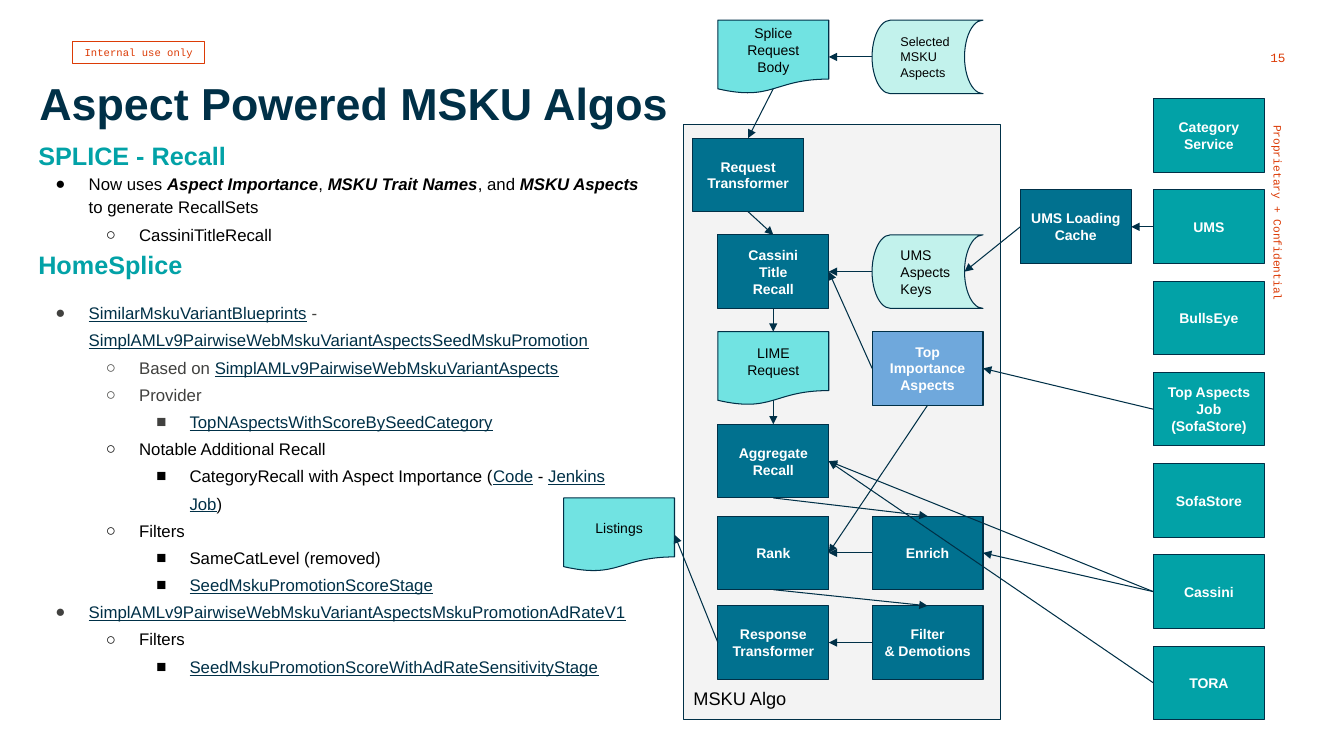
from lxml.etree import SubElement
from pptx import Presentation
from pptx.dml.color import RGBColor
from pptx.enum.shapes import MSO_CONNECTOR, MSO_SHAPE
from pptx.enum.text import MSO_ANCHOR, MSO_AUTO_SIZE, PP_ALIGN
from pptx.oxml.ns import qn
from pptx.util import Inches, Pt

COLORS = {
    "navy": "003047", "blue": "01718F", "teal": "02A2A7", "aqua": "71E3E2",
    "mint": "C2F2EC", "sky": "6FA8DC", "panel": "F3F3F3", "grey": "41413F",
    "red": "DC3B06", "black": "000000", "white": "FFFFFF",
}


def format_text(shape, size, color, font="Arial", bold=False,
                align=PP_ALIGN.LEFT, anchor=MSO_ANCHOR.MIDDLE, insets=(0, 0, 0, 0)):
    frame = shape.text_frame
    frame.word_wrap = True
    frame.auto_size = MSO_AUTO_SIZE.NONE
    frame.vertical_anchor = anchor
    (frame.margin_left, frame.margin_top,
     frame.margin_right, frame.margin_bottom) = map(Inches, insets)
    for paragraph in frame.paragraphs:
        paragraph.alignment = align
        for run in paragraph.runs:
            run.font.name, run.font.size, run.font.bold = font, Pt(size), bold
            run.font.color.rgb = RGBColor.from_string(COLORS[color])


def add_box(kind, left, top, width, height, text, fill=None, line="navy"):
    shape = slide.shapes.add_shape(kind, *map(Inches, (left, top, width, height)))
    shape.shadow.inherit = False
    if fill:
        shape.fill.solid()
        shape.fill.fore_color.rgb = RGBColor.from_string(COLORS[fill])
    else:
        shape.fill.background()
    shape.line.color.rgb = RGBColor.from_string(COLORS[line])
    shape.line.width = Pt(0.75)
    shape.text_frame.text = text
    return shape


presentation = Presentation()
presentation.slide_width, presentation.slide_height = Inches(13.33), Inches(7.5)
slide = presentation.slides.add_slide(presentation.slide_layouts[1])

# Confidentiality marks and page number
side_note = slide.shapes.add_textbox(*map(Inches, (11.27, 2.58, 2.81, 0.13)))
side_note.rotation = 90
side_note.text_frame.text = "Proprietary + Confidential"
format_text(side_note, 8, "red", "Courier New", anchor=MSO_ANCHOR.BOTTOM)

usage_tag = add_box(MSO_SHAPE.RECTANGLE, 0.72, 0.41, 1.31, 0.22,
                    "Internal use only", line="red")
format_text(usage_tag, 7.5, "red", "Courier New", align=PP_ALIGN.CENTER)

page_number = slide.shapes.add_textbox(*map(Inches, (12.6, 0.44, 0.62, 0.21)))
page_number.text_frame.text = "15"
format_text(page_number, 9, "red", "Courier New", anchor=MSO_ANCHOR.BOTTOM,
            insets=(0, 0.05, 0.04, 0))

# Title
title = slide.shapes.title
title.left, title.top, title.width, title.height = map(Inches, (0.39, 0.27, 6.57, 1.49))
title.text_frame.text = "Aspect Powered MSKU Algos"
format_text(title, 32, "navy", bold=True)

# Body outline: level (None is a heading), bullet colour, runs of (text, style)
outline = [
    (None, None, [("SPLICE - Recall", "heading")]),
    (0, "black", [("Now uses ", "black"), ("Aspect Importance", "strong"), (", ", "black"),
                  ("MSKU Trait Names", "strong"), (", and ", "black"),
                  ("MSKU Aspects", "strong"), (" to generate RecallSets", "black")]),
    (1, "black", [("CassiniTitleRecall", "black")]),
    (None, None, [("HomeSplice", "heading")]),
    (0, "grey", [("SimilarMskuVariantBlueprints", "link"), (" - ", "grey"),
                 ("SimplAMLv9PairwiseWebMskuVariantAspectsSeedMskuPromotion", "link")]),
    (1, "grey", [("Based on ", "grey"), ("SimplAMLv9PairwiseWebMskuVariantAspects", "link")]),
    (1, "grey", [("Provider", "grey")]),
    (2, "grey", [("TopNAspectsWithScoreBySeedCategory", "link")]),
    (1, "black", [("Notable Additional Recall", "black")]),
    (2, "black", [("CategoryRecall with Aspect Importance (", "black"), ("Code", "link"),
                  (" - ", "black"), ("Jenkins Job", "link"), (")", "black")]),
    (1, "black", [("Filters", "black")]),
    (2, "black", [("SameCatLevel (removed)", "black")]),
    (2, "black", [("SeedMskuPromotionScoreStage", "link")]),
    (0, "grey", [("SimplAMLv9PairwiseWebMskuVariantAspectsMskuPromotionAdRateV1", "link")]),
    (1, "black", [("Filters", "black")]),
    (2, "black", [("SeedMskuPromotionScoreWithAdRateSensitivityStage", "link")]),
]
style_colors = {"heading": "teal", "strong": "black", "link": "navy"}
body = slide.placeholders[1]
body.left, body.top, body.width, body.height = map(Inches, (0.38, 1.35, 5.98, 5.7))
format_text(body, 12, "black", anchor=MSO_ANCHOR.TOP)
for index, (level, bullet_color, runs) in enumerate(outline):
    paragraph = body.text_frame.paragraphs[0] if index == 0 else body.text_frame.add_paragraph()
    properties = paragraph._p.get_or_add_pPr()
    if level is None:
        properties.set("marL", "0")
        properties.set("indent", "0")
        SubElement(properties, qn("a:buNone"))
    else:
        paragraph.level = level
        properties.set("marL", str(Inches(0.5 * (level + 1))))
        properties.set("indent", str(Inches(-0.33)))
        color = SubElement(properties, qn("a:buClr"))
        SubElement(color, qn("a:srgbClr"), val=COLORS[bullet_color])
        SubElement(properties, qn("a:buFont"), typeface="Arial")
        SubElement(properties, qn("a:buChar"), char="●○■"[level])
    paragraph.alignment = PP_ALIGN.LEFT
    paragraph.line_spacing = 1.15 if index in (0, 1, 3) else 1.35
    paragraph.space_before = Pt(12 if index == 4 else 0)
    for text, style in runs:
        run = paragraph.add_run()
        run.text = text
        run.font.name = "Arial"
        run.font.size = Pt(18 if style == "heading" else 12)
        run.font.bold = style in ("heading", "strong")
        run.font.italic = style == "strong"
        run.font.underline = style == "link"
        run.font.color.rgb = RGBColor.from_string(COLORS[style_colors.get(style, style)])

# Panel behind the algorithm steps
panel = add_box(MSO_SHAPE.RECTANGLE, 6.78, 1.24, 3.14, 5.9, "MSKU Algo", "panel")
format_text(panel, 13, "black", anchor=MSO_ANCHOR.BOTTOM, insets=(0.1,) * 4)

# Flow boxes on a grid of columns and rows
BOX_WIDTH, BOX_HEIGHT = 1.1, 0.73
STEP, DATA, CACHE, SERVICE = 7.12, 8.65, 10.12, 11.44
ROWS = [0.2, 1.37, 2.33, 3.29, 4.21, 5.12, 6.01]
SERVICE_TOP, SERVICE_PITCH = 0.98, 5.43 / 6
kinds = {
    "process": MSO_SHAPE.FLOWCHART_PROCESS,
    "document": MSO_SHAPE.FLOWCHART_DOCUMENT,
    "storage": MSO_SHAPE.FLOWCHART_STORED_DATA,
}
kinds["storage"] = MSO_SHAPE.FLOWCHART_STORED_DATA
nodes = [
    ("splice", "document", STEP, ROWS[0], "aqua", "Splice\nRequest\nBody"),
    ("selected", "storage", DATA, ROWS[0], "mint", "Selected\nMSKU Aspects"),
    ("request", "process", 6.87, ROWS[1], "blue", "Request\nTransformer"),
    ("title recall", "process", STEP, ROWS[2], "blue", "Cassini\nTitle\nRecall"),
    ("keys", "storage", DATA, ROWS[2], "mint", "UMS\nAspects\nKeys"),
    ("lime", "document", STEP, ROWS[3], "aqua", "LIME\nRequest"),
    ("importance", "process", DATA, ROWS[3], "sky", "Top\nImportance\nAspects"),
    ("aggregate", "process", STEP, ROWS[4], "blue", "Aggregate\nRecall"),
    ("rank", "process", STEP, ROWS[5], "blue", "Rank"),
    ("enrich", "process", DATA, ROWS[5], "blue", "Enrich"),
    ("response", "process", STEP, ROWS[6], "blue", "Response\nTransformer"),
    ("filter", "process", DATA, ROWS[6], "blue", "Filter\n& Demotions"),
    ("listings", "document", 5.59, 4.94, "aqua", "Listings"),
    ("cache", "process", CACHE, SERVICE_TOP + SERVICE_PITCH, "blue", "UMS Loading\nCache"),
]
services = ["Category\nService", "UMS", "BullsEye", "Top Aspects\nJob\n(SofaStore)",
            "SofaStore", "Cassini", "TORA"]
nodes += [(text, "process", SERVICE, SERVICE_TOP + row * SERVICE_PITCH, "teal", text)
          for row, text in enumerate(services)]
boxes = {}
for name, kind, left, top, fill, text in nodes:
    box = add_box(kinds[kind], left, top, BOX_WIDTH, BOX_HEIGHT, text, fill)
    format_text(box, 9 if name == "selected" else 10,
                "white" if kind == "process" else "black", bold=kind == "process",
                align=PP_ALIGN.LEFT if kind == "storage" else PP_ALIGN.CENTER,
                insets=(0.1,) * 4)
    boxes[name] = box

# Arrows between connection sites
TOP, LEFT, BOTTOM, RIGHT = range(4)
arrows = [
    ("selected", LEFT, "splice", RIGHT), ("splice", BOTTOM, "request", TOP),
    ("request", BOTTOM, "title recall", TOP), ("keys", LEFT, "title recall", RIGHT),
    ("cache", LEFT, "keys", RIGHT), ("UMS", LEFT, "cache", RIGHT),
    ("importance", LEFT, "title recall", RIGHT), ("importance", BOTTOM, "rank", RIGHT),
    (services[3], LEFT, "importance", RIGHT), ("title recall", BOTTOM, "lime", TOP),
    ("lime", BOTTOM, "aggregate", TOP), ("Cassini", LEFT, "aggregate", RIGHT),
    ("TORA", LEFT, "aggregate", RIGHT), ("Cassini", LEFT, "enrich", RIGHT),
    ("aggregate", BOTTOM, "enrich", TOP), ("enrich", LEFT, "rank", RIGHT),
    ("rank", BOTTOM, "filter", TOP), ("filter", LEFT, "response", RIGHT),
    ("response", LEFT, "listings", RIGHT),
]
for source, source_site, target, target_site in arrows:
    arrow = slide.shapes.add_connector(MSO_CONNECTOR.STRAIGHT, 0, 0, 0, 0)
    arrow.begin_connect(boxes[source], source_site)
    arrow.end_connect(boxes[target], target_site)
    if source in ("splice", "lime"):  # the wavy edge sits above the box bottom
        arrow.begin_y = boxes[source].top + Inches(0.68)
    if target == "keys":  # the curved edge sits inside the box
        arrow.end_x = boxes[target].left + Inches(BOX_WIDTH * 5 / 6)
    arrow.line.color.rgb = RGBColor.from_string(COLORS["navy"])
    arrow.line.width = Pt(0.75)
    SubElement(arrow.line._get_or_add_ln(), qn("a:tailEnd"), type="triangle")
    SubElement(arrow._element.spPr, qn("a:effectLst"))

presentation.save("out.pptx")
